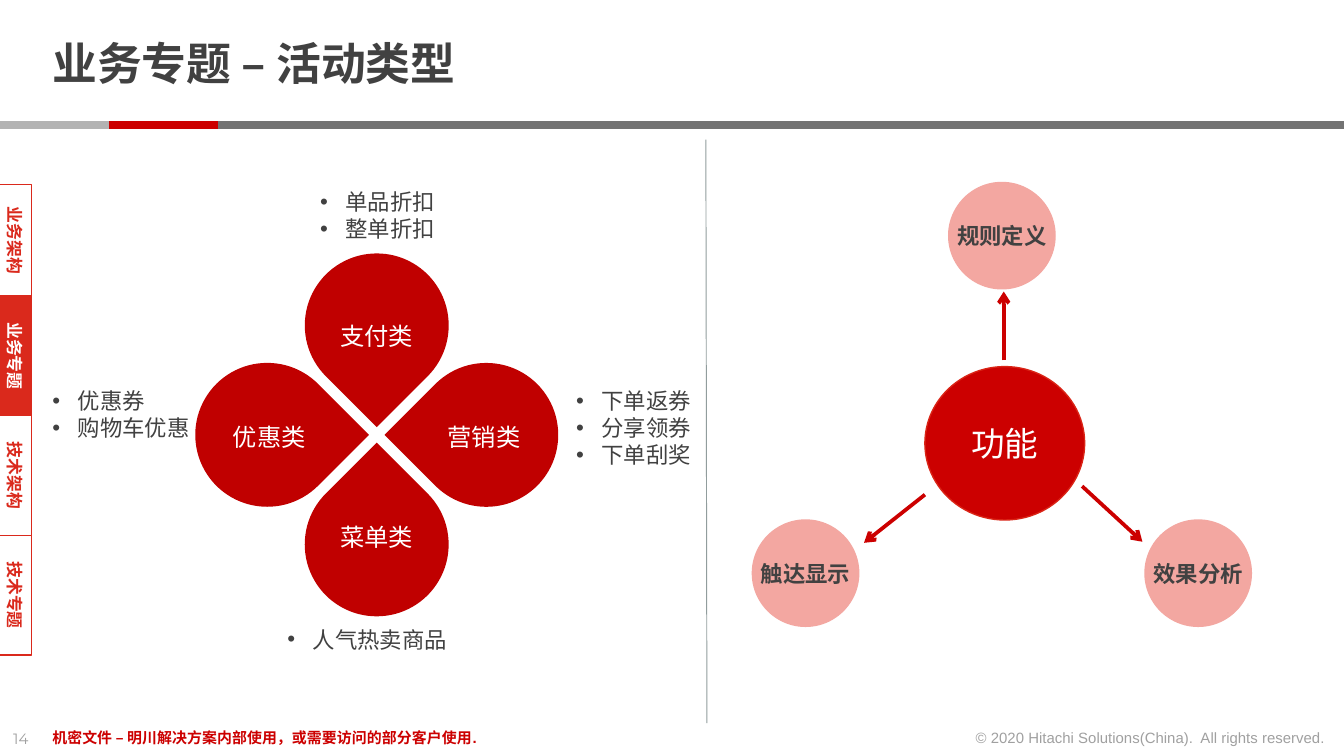
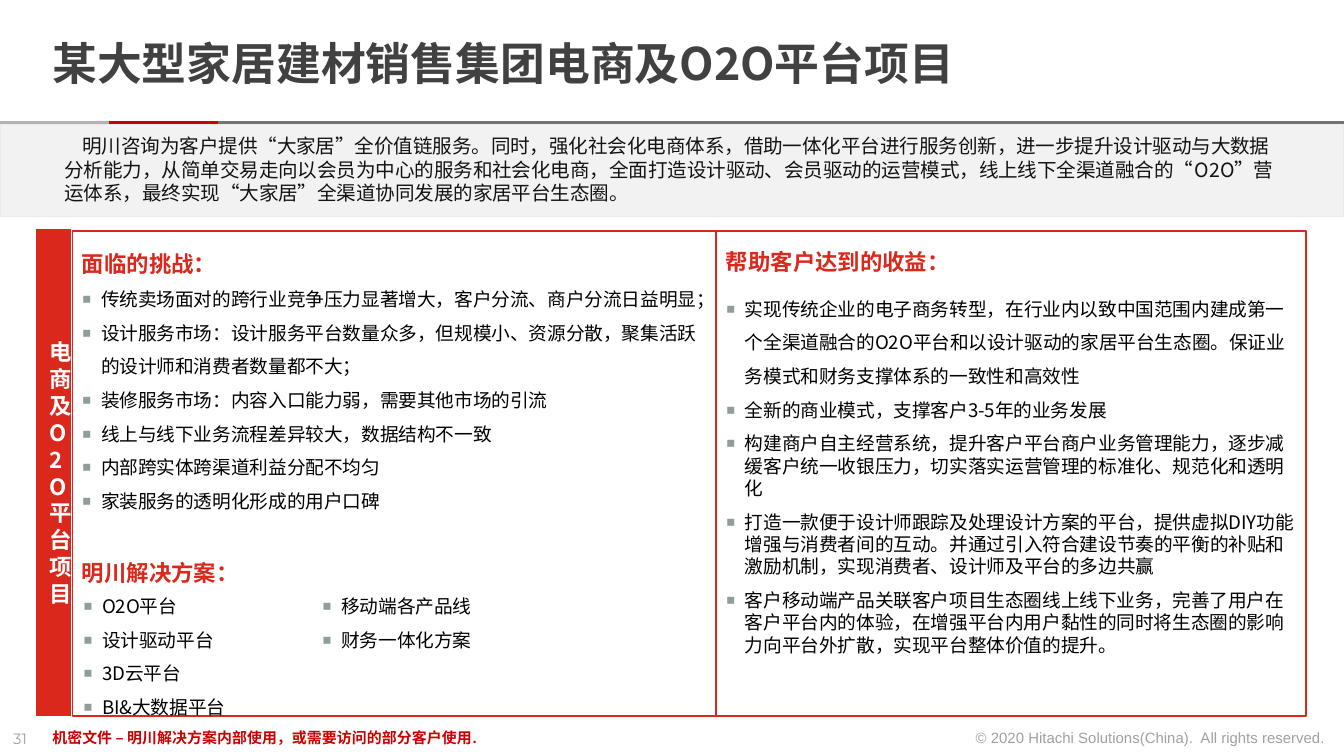
"""Build two slides on activity types and an online-to-offline project."""
from dataclasses import dataclass, replace
from lxml import etree
from pptx import Presentation
from pptx.dml.color import RGBColor
from pptx.enum.shapes import MSO_CONNECTOR, MSO_SHAPE
from pptx.enum.text import MSO_ANCHOR, MSO_AUTO_SIZE, PP_ALIGN
from pptx.oxml.ns import qn
from pptx.util import Cm, Pt

RECT, OVAL, DROP = MSO_SHAPE.RECTANGLE, MSO_SHAPE.OVAL, MSO_SHAPE.TEAR
LINE = MSO_CONNECTOR.STRAIGHT
LEFT, MID, RIGHT = PP_ALIGN.LEFT, PP_ALIGN.CENTER, PP_ALIGN.RIGHT
TOP, CENTER = MSO_ANCHOR.TOP, MSO_ANCHOR.MIDDLE
GROW, FIXED = MSO_AUTO_SIZE.SHAPE_TO_FIT_TEXT, MSO_AUTO_SIZE.NONE


@dataclass(frozen=True)
class Theme:
    """Colours, fonts and type sizes."""
    text: str = "414141"
    ink: str = "141313"
    black: str = "000000"
    white: str = "FFFFFF"
    mute: str = "A0A0A0"
    dark: str = "737373"
    light: str = "B3B3B3"
    red: str = "CC0000"
    deep: str = "C00000"
    brand: str = "DA291C"
    rim: str = "DA2416"
    pink: str = "F3A7A1"
    mark: str = "919D9D"
    band: str = "F2F2F2"
    edge: str = "E9EBEB"
    sans: str = "Arial"
    han: str = "Noto Sans CJK SC"
    digit: str = "Montserrat"
    title: float = 24
    hub: float = 18
    petal: float = 13
    head: float = 12
    intro: float = 10.5
    body: float = 10
    tab: float = 9
    foot: float = 8


T = Theme()


@dataclass(frozen=True)
class Look:
    """Style of one paragraph."""
    size: float
    color: str = T.text
    bold: bool = False
    font: str = T.han
    align: PP_ALIGN = LEFT
    lead: object = None
    gap: float = 0
    mark: str = ""
    hang: float = 0
    first: float = 0


NOTE = Look(T.foot, T.mute, font=T.sans)
DOT = Look(T.head, font=T.sans, mark="•", hang=0.48)
HEAD = Look(T.head, T.brand, True, lead=1.5)
ITEM = Look(T.body, T.black, lead=1.5, mark="▪", hang=0.36)
INSET = (0.25, 0.13, 0.25, 0.13)
SNUG = (0.18, 0.1, 0.18, 0.1)


def rgb(code):
    """Turn a hex code into a colour."""
    return RGBColor.from_string(code)


def add(node, tag, **attrs):
    """Append a drawing element."""
    return etree.SubElement(node, qn(tag), **attrs)


class Deck:
    """Holds the presentation and the current slide."""

    def __init__(self):
        """Start an empty wide deck."""
        self.prs = Presentation()
        self.prs.slide_width, self.prs.slide_height = Cm(25.4), Cm(14.29)

    def page(self, title, number):
        """Add a slide with its title, rule and footer."""
        self.slide = self.prs.slides.add_slide(self.prs.slide_layouts[5])
        for x, w, color in ((4.12, 21.28, T.dark), (2.06, 2.06, T.red), (0, 2.06, T.light)):
            self.shape(RECT, (x, 2.29, w, 0.15), color)
        self.text((0, 13.66, 0.87, 0.6), [number], replace(NOTE, font=T.digit))
        self.text((18.08, 13.64, 7.22, 0.6),
                  ["© 2020 Hitachi Solutions(China).  All rights reserved."],
                  replace(NOTE, align=RIGHT))
        self.text((0.74, 13.64, 17.12, 0.6),
                  ["机密文件 – 明川解决方案内部使用，或需要访问的部分客户使用."],
                  replace(NOTE, color=T.red, bold=True), wrap=True)
        head = self.slide.shapes.title
        head.left, head.top, head.width, head.height = map(Cm, (0.74, 0.33, 19.58, 1.86))
        self.label(head, [(title, Look(T.title, bold=True, lead=0.85))],
                   ins=(0.25, 0, 0.25, 0))
        head.text_frame.auto_size = FIXED

    def shape(self, kind, box, fill, line=None, width=0.75, turn=0):
        """Add a preset shape."""
        item = self.slide.shapes.add_shape(kind, *map(Cm, box))
        item.shadow.inherit = False
        item.rotation = turn
        item.fill.solid()
        item.fill.fore_color.rgb = rgb(fill)
        if line:
            item.line.color.rgb = rgb(line)
            item.line.width = Pt(width)
        else:
            item.line.fill.background()
        return item

    def text(self, box, lines, look, wrap=False):
        """Add a text box in one style."""
        item = self.slide.shapes.add_textbox(*map(Cm, box))
        self.label(item, [(line, look) for line in lines], TOP, wrap=wrap)
        item.text_frame.auto_size = GROW

    def label(self, item, parts, anchor=CENTER, ins=INSET, wrap=True):
        """Fill a shape with styled paragraphs."""
        frame = item.text_frame
        frame.word_wrap, frame.vertical_anchor = wrap, anchor
        (frame.margin_left, frame.margin_top,
         frame.margin_right, frame.margin_bottom) = map(Cm, ins)
        frame.text = "\n".join(line for line, _ in parts)
        for para, (_, look) in zip(frame.paragraphs, parts):
            self.style(para, look)

    def style(self, para, look):
        """Format a paragraph and its runs."""
        para.alignment = look.align
        para.space_before = Pt(look.gap)
        if look.lead:
            para.line_spacing = look.lead
        props = para._p.get_or_add_pPr()
        props.set("marL", str(Cm(look.hang)))
        props.set("indent", str(Cm(look.first - look.hang)))
        if look.mark:
            if look.mark == ITEM.mark:
                add(add(props, "a:buClr"), "a:srgbClr", val=T.mark)
                add(props, "a:buSzPct", val="150000")
            add(props, "a:buFont", typeface=T.sans)
            add(props, "a:buChar", char=look.mark)
        for run in para.runs:
            font = run.font
            font.size, font.bold, font.name = Pt(look.size), look.bold, look.font
            font.color.rgb = rgb(look.color)
            add(run._r.get_or_add_rPr(), "a:ea", typeface=T.han)

    def link(self, start, end, color, width, arrow=False):
        """Draw a line or an arrow."""
        item = self.slide.shapes.add_connector(LINE, *map(Cm, start + end))
        item.line.color.rgb = rgb(color)
        item.line.width = Pt(width)
        props = item._element.spPr
        if arrow:
            add(props.find(qn("a:ln")), "a:tailEnd", type="arrow")
        add(props, "a:effectLst")

    def tabs(self, names, active):
        """Stack the turned section tabs down the left edge."""
        y, x, thick = 3.49, 0.29, 0.61
        for i, name in enumerate(names):
            size = 2.26 if i else 2.11
            fill, color = (T.brand, T.white) if name == active else (T.white, T.brand)
            tab = self.shape(RECT, (x - size / 2, y + (size - thick) / 2, size, thick),
                             fill, T.brand, turn=90)
            self.label(tab, [(name, Look(T.tab, color, True, align=MID))], ins=SNUG)
            y += size


def types(deck):
    """Build the slide of activity types and functions."""
    deck.page("业务专题 – 活动类型", "14")
    for box, lines in (
            ((0.74, 7.19, 3.12, 1.27), ["优惠券", "购物车优惠"]),
            ((5.8, 3.43, 2.69, 1.27), ["单品折扣", "整单折扣"]),
            ((5.18, 11.7, 3.56, 0.76), ["人气热卖商品"]),
            ((10.64, 7.19, 2.69, 1.8), ["下单返券", "分享领券", "下单刮奖"])):
        deck.text(box, lines, DOT)

    x, y, size, step = 7.12, 8.22, 2.72, 2.07
    petals = (("菜单类", 0, 1, 315), ("营销类", 1, 0, 225),
              ("支付类", 0, -1, 135), ("优惠类", -1, 0, 45))
    for _, dx, dy, turn in petals:
        deck.shape(DROP, (x + dx * step - size / 2, y + dy * step - size / 2, size, size),
                   T.deep, turn=turn)
    for name, dx, dy, _ in petals:
        deck.text((x + dx * 2.03 - 0.95, y + dy * 1.9 - 0.37, 1.9, 0.81), [name],
                  Look(T.petal, T.white, font=T.sans, align=MID))

    hub = deck.shape(OVAL, (17.48, 6.93, 3.02, 2.9), T.red, T.rim)
    deck.label(hub, [("功能", Look(T.hub, T.white, align=MID))])
    for name, x, y in (("触达显示", 14.22, 9.83), ("规则定义", 17.93, 3.45),
                       ("效果分析", 21.64, 9.83)):
        node = deck.shape(OVAL, (x, y, 2.01, 2.01), T.pink, T.pink)
        deck.label(node, [(name, Look(T.head, bold=True, align=MID))],
                   ins=(0, 0, 0, 0), wrap=False)
    for start, end in (((20.45, 9.19), (21.59, 10.24)),
                       ((17.48, 9.35), (16.33, 10.26)),
                       ((18.97, 6.81), (18.97, 5.51))):
        deck.link(start, end, T.red, 2, arrow=True)
    deck.link((13.34, 2.64), (13.36, 13.67), T.mark, 0.5)
    deck.tabs(["业务架构", "业务专题", "技术架构", "技术专题"], "业务专题")


def case(deck):
    """Build the slide of the home retail project."""
    deck.page("某大型家居建材销售集团电商及O2O平台项目", "31")
    deck.shape(RECT, (0, 2.36, 25.4, 1.73), T.band, T.edge)
    deck.text((0.97, 2.41, 23.39, 1.6), [
        "明川咨询为客户提供“大家居”全价值链服务。同时，强化社会化电商体系，"
        "借助一体化平台进行服务创新，进一步提升设计驱动与大数据分析能力，"
        "从简单交易走向以会员为中心的服务和社会化电商，全面打造设计驱动、"
        "会员驱动的运营模式，线上线下全渠道融合的“O2O”营运体系，"
        "最终实现“大家居”全渠道协同发展的家居平台生态圈。"],
        Look(T.intro, T.ink, first=0.34), wrap=True)

    needs = ["传统卖场面对的跨行业竞争压力显著增大，客户分流、商户分流日益明显；",
             "设计服务市场：设计服务平台数量众多，但规模小、资源分散，"
             "聚集活跃的设计师和消费者数量都不大；",
             "装修服务市场：内容入口能力弱，需要其他市场的引流",
             "线上与线下业务流程差异较大，数据结构不一致",
             "内部跨实体跨渠道利益分配不均匀",
             "家装服务的透明化形成的用户口碑"]
    left = deck.shape(RECT, (1.37, 4.37, 12.19, 9.17), T.white, T.brand, 1)
    deck.label(left, [("面临的挑战：", HEAD), *((line, ITEM) for line in needs),
                      ("明川解决方案：", replace(HEAD, gap=18))], TOP, SNUG)

    side = deck.shape(RECT, (0.69, 4.34, 0.64, 9.19), T.brand, T.brand)
    look = Look(T.head, T.white, True, align=MID)
    deck.label(side, [("电商", look), ("及O2O平台项目", look)])

    gains = ["全新的商业模式，支撑客户3-5年的业务发展",
             "构建商户自主经营系统，提升客户平台商户业务管理能力，"
             "逐步减缓客户统一收银压力，切实落实运营管理的标准化、规范化和透明化",
             "打造一款便于设计师跟踪及处理设计方案的平台，提供虚拟DIY功能增强与消费者间的互动。"
             "并通过引入符合建设节奏的平衡的补贴和激励机制，实现消费者、设计师及平台的多边共赢",
             "客户移动端产品关联客户项目生态圈线上线下业务，完善了用户在客户平台内的体验，"
             "在增强平台内用户黏性的同时将生态圈的影响力向平台外扩散，实现平台整体价值的提升。"]
    tight = replace(ITEM, lead=Pt(12), gap=6)
    right = deck.shape(RECT, (13.54, 4.37, 11.15, 9.17), T.white, T.brand, 1)
    deck.label(right, [
        ("帮助客户达到的收益：", replace(HEAD, lead=Pt(12))),
        ("实现传统企业的电子商务转型，在行业内以致中国范围内建成第一个全渠道融合的O2O平台"
         "和以设计驱动的家居平台生态圈。保证业务模式和财务支撑体系的一致性和高效性",
         replace(ITEM, gap=6)),
        *((line, tight) for line in gains)], TOP, (0.18, 0.41, 0.18, 0.1))

    for x, lines in ((1.32, ["O2O平台", "设计驱动平台", "3D云平台", "BI&大数据平台"]),
                     (5.84, ["移动端各产品线", "财务一体化方案"])):
        deck.text((x, 10.9, 4.4, 0.64 * len(lines) + 0.26), lines, ITEM, wrap=True)


def main():
    """Build and save the deck."""
    deck = Deck()
    types(deck)
    case(deck)
    deck.prs.save("out.pptx")


if __name__ == "__main__":
    main()
